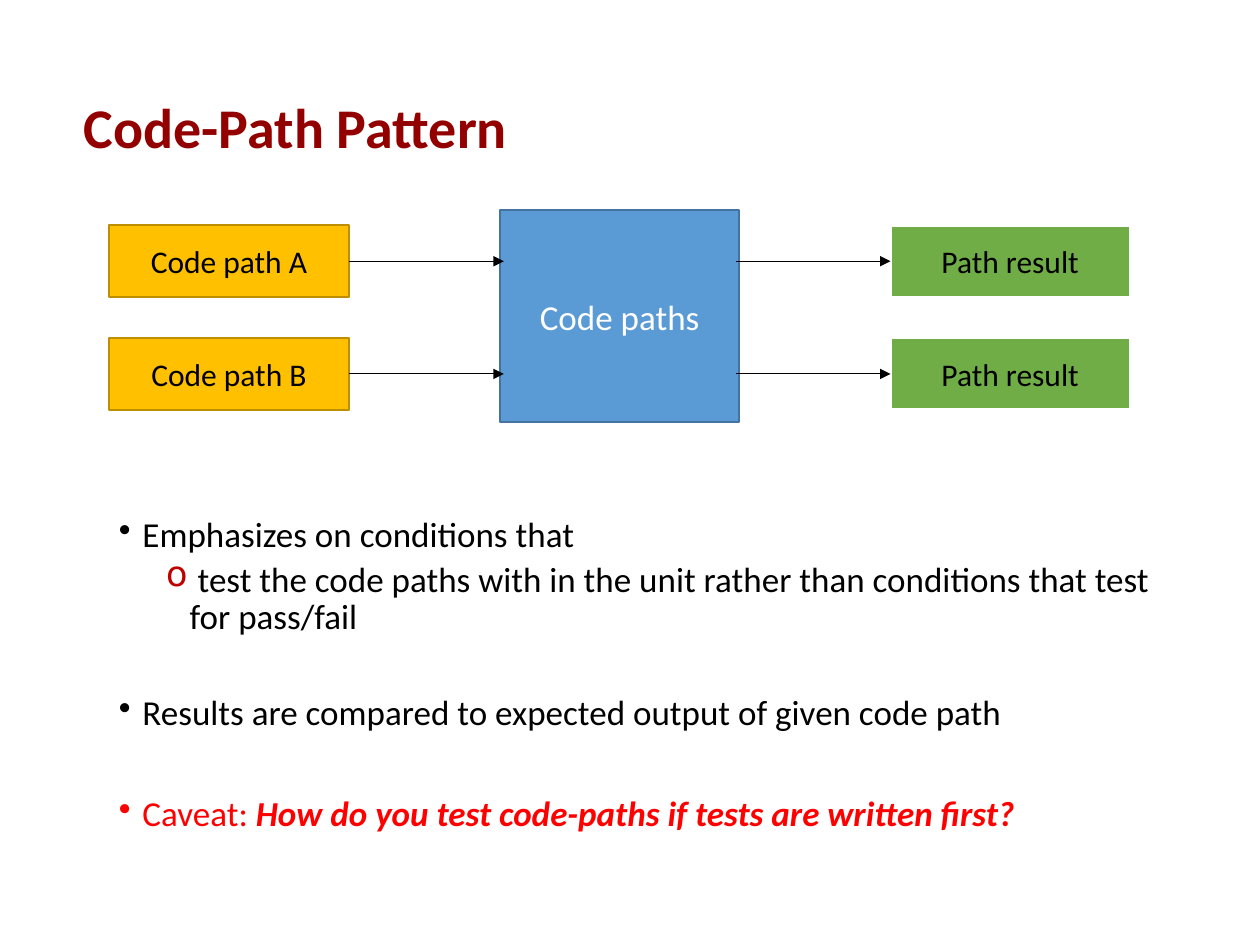
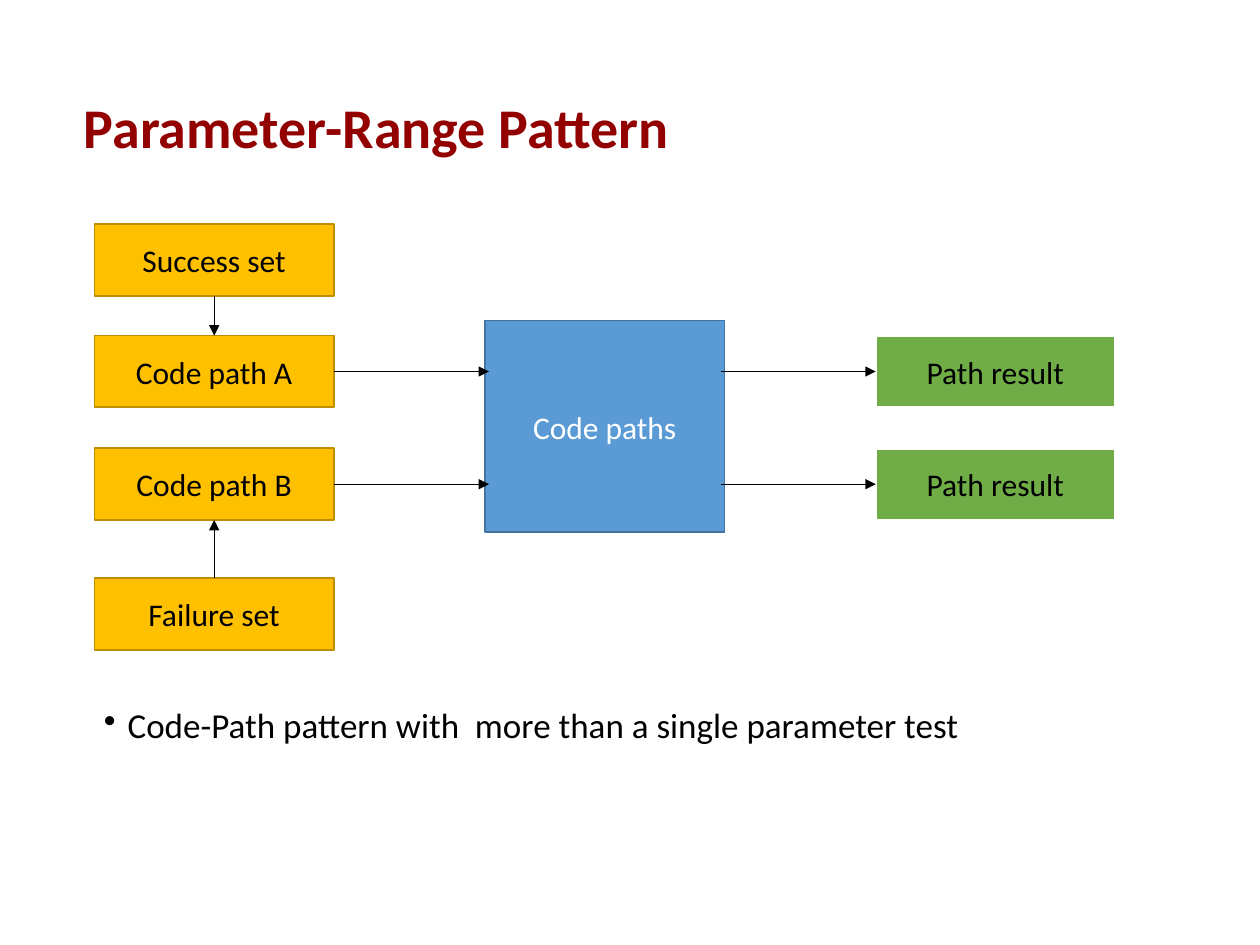
from lxml import etree
from pptx import Presentation
from pptx.dml.color import RGBColor
from pptx.enum.shapes import MSO_CONNECTOR, MSO_SHAPE
from pptx.enum.text import MSO_ANCHOR, PP_ALIGN
from pptx.oxml.ns import qn
from pptx.util import Pt

FONT = "Calibri"
BLACK, WHITE, RED = "000000", "FFFFFF", "FF0000"
TITLE_RED, BULLET_RED = "920000", "C00000"
# Each box style: fill, line colour, line width, text colour
INPUT = ("FFC000", "BD8E00", 1, BLACK)
CORE = ("5B9BD5", "43739E", 1, WHITE)
RESULT = ("70AD47", WHITE, 1.5, BLACK)

BOX_W, BOX_H = 136.8, 41
CORE_H, CORE_RISE = 121, 8.6
COLUMN_STEP, ROW_STEP = 223.2, 64.4
ARROW_LENGTH = 88.6
HANG = 13.5


def color(hex_string):
    return RGBColor.from_string(hex_string)


class Deck:
    def __init__(self):
        self.prs = Presentation()
        self.prs.slide_width, self.prs.slide_height = Pt(720), Pt(540)
        self.slide = None

    def new_slide(self, title):
        self.slide = self.prs.slides.add_slide(self.prs.slide_layouts[6])
        frame = self.text_frame(42.5, 43.2, 624.2, 62.6)
        frame.vertical_anchor = MSO_ANCHOR.MIDDLE
        heading = frame.paragraphs[0]
        heading.line_spacing = 0.9
        self.run(heading, title, 32, TITLE_RED, bold=True)

    def text_frame(self, left, top, width, height):
        box = self.slide.shapes.add_textbox(Pt(left), Pt(top), Pt(width), Pt(height))
        frame = box.text_frame
        frame.word_wrap = True
        frame.margin_left = frame.margin_right = Pt(5.4)
        frame.margin_top = frame.margin_bottom = Pt(2.7)
        return frame

    def run(self, paragraph, text, size, text_color, bold=False, italic=False):
        run = paragraph.add_run()
        run.text = text
        font = run.font
        font.name, font.size = FONT, Pt(size)
        font.bold, font.italic = bold, italic
        font.color.rgb = color(text_color)

    def bullet(self, paragraph, char, bullet_color, indent):
        props = paragraph._p.get_or_add_pPr()
        props.set("marL", str(Pt(indent)))
        props.set("indent", str(-Pt(HANG)))
        tint = etree.SubElement(props, qn("a:buClr"))
        etree.SubElement(tint, qn("a:srgbClr"), val=bullet_color)
        etree.SubElement(props, qn("a:buChar"), char=char)

    def bullets(self, left, top, width, height, points):
        """Each point is (level, space before, text colour, [(text, strong), ...])."""
        frame = self.text_frame(left, top, width, height)
        for index, (level, space, text_color, parts) in enumerate(points):
            paragraph = frame.add_paragraph() if index else frame.paragraphs[0]
            if level:
                self.bullet(paragraph, "o", BULLET_RED, 3 * HANG)
            else:
                self.bullet(paragraph, "•", text_color, HANG)
            paragraph.level = level
            paragraph.line_spacing = 0.9
            paragraph.space_before = Pt(space)
            for text, strong in parts:
                self.run(paragraph, text, 20, text_color, bold=strong, italic=strong)

    def box(self, left, top, text, style, height=BOX_H, size=18):
        fill, line, line_width, text_color = style
        box = self.slide.shapes.add_shape(
            MSO_SHAPE.RECTANGLE, Pt(left), Pt(top), Pt(BOX_W), Pt(height))
        box.shadow.inherit = False
        box.fill.solid()
        box.fill.fore_color.rgb = color(fill)
        box.line.color.rgb = color(line)
        box.line.width = Pt(line_width)
        frame = box.text_frame
        frame.word_wrap = True
        frame.vertical_anchor = MSO_ANCHOR.MIDDLE
        label = frame.paragraphs[0]
        label.alignment = PP_ALIGN.CENTER
        self.run(label, text, size, text_color)

    def arrow(self, x1, y1, x2, y2):
        arrow = self.slide.shapes.add_connector(
            MSO_CONNECTOR.STRAIGHT, Pt(x1), Pt(y1), Pt(x2), Pt(y2))
        arrow.line.color.rgb = color(BLACK)
        arrow.line.width = Pt(0.5)
        etree.SubElement(arrow.line._get_or_add_ln(), qn("a:tailEnd"), type="triangle")
        etree.SubElement(arrow._element.spPr, qn("a:effectLst"))

    def code_paths(self, left, top, core_size):
        """Two code paths run through the core box to their results."""
        results = left + 2 * COLUMN_STEP
        self.box(left + COLUMN_STEP, top - CORE_RISE, "Code paths", CORE, CORE_H, core_size)
        for row, path_name in enumerate("AB"):
            row_top = top + row * ROW_STEP
            middle = row_top + BOX_H / 2
            self.box(left, row_top, f"Code path {path_name}", INPUT)
            self.box(results, row_top, "Path result", RESULT)
            for start in (left + BOX_W, results - ARROW_LENGTH):
                self.arrow(start, middle, start + ARROW_LENGTH, middle)


def code_path_slide(deck):
    deck.new_slide("Code-Path Pattern")
    deck.bullets(62.5, 293, 622, 204.5, [
        (0, 0, BLACK, [("Emphasizes on conditions that", False)]),
        (1, 3.8, BLACK, [(" test the code paths with in the unit rather than "
                          "conditions that test for pass/fail", False)]),
        (0, 33, BLACK, [("Results are compared to expected output of given code path", False)]),
        (0, 36, RED, [("Caveat: ", False),
                      ("How do you test code-paths if tests are written first?", True)]),
    ])
    deck.code_paths(62.5, 128.8, core_size=20)


def parameter_range_slide(deck):
    left, paths_top, success_top, failure_top = 54, 191.8, 128.2, 330.5
    deck.new_slide("Parameter-Range Pattern")
    deck.bullets(left, 402, 566, 57, [
        (0, 0, BLACK, [("Code-Path pattern with  more than a single parameter test", False)]),
    ])
    deck.code_paths(left, paths_top, core_size=18)
    center = left + BOX_W / 2
    deck.box(left, success_top, "Success set", INPUT)
    deck.arrow(center, success_top + BOX_H, center, paths_top)
    deck.box(left, failure_top, "Failure set", INPUT)
    deck.arrow(center, failure_top, center, paths_top + ROW_STEP + BOX_H)


def main():
    deck = Deck()
    code_path_slide(deck)
    parameter_range_slide(deck)
    deck.prs.save("out.pptx")


if __name__ == "__main__":
    main()
